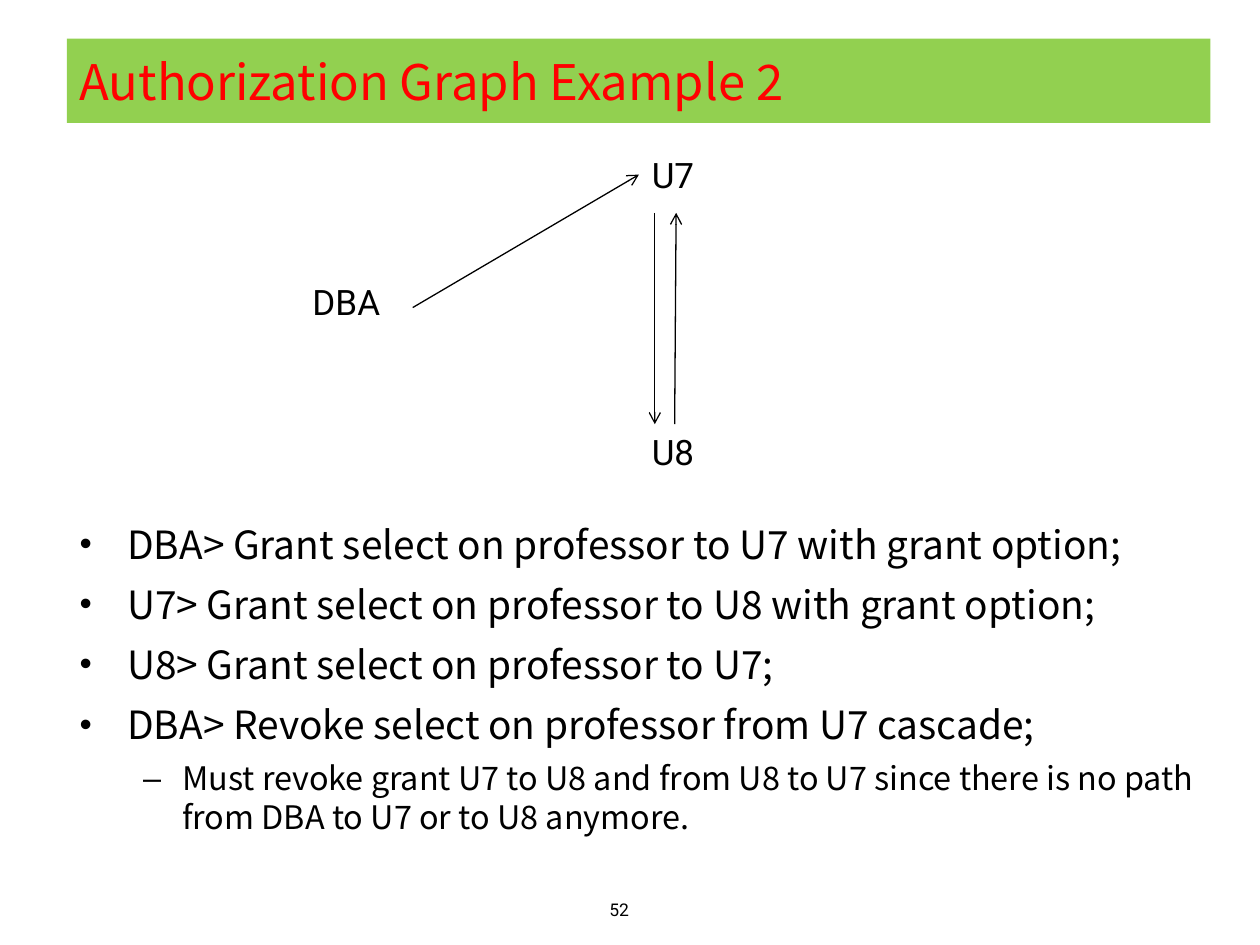
import pptx
import pptx.dml.color
import pptx.enum.shapes
import pptx.enum.text
import pptx.oxml.ns
import pptx.util
from lxml import etree

Cm = pptx.util.Cm
Pt = pptx.util.Pt
ALIGN = pptx.enum.text.PP_ALIGN
ANCHOR = pptx.enum.text.MSO_ANCHOR
AUTOSIZE = pptx.enum.text.MSO_AUTO_SIZE

COLORS = {"banner": "92D050", "heading": "FF0000", "ink": "000000"}
HEADING_FONT = "Noto Sans CJK KR"
LABEL_FONT = "Roboto"

STATEMENTS = [
    "DBA> Grant select on professor to U7 with grant option;",
    "U7> Grant select on professor to U8 with grant option;",
    "U8> Grant select on professor to U7;",
    "DBA> Revoke select on professor from U7 cascade;",
]
CONSEQUENCE = (
    "Must revoke grant U7 to U8 and from U8 to U7 since there is no path "
    "from DBA to U7 or to U8 anymore."
)
LEVELS = [
    {"size": 22.2, "before": 7.7, "indent": 0.96, "hang": 0.96,
     "bullet": "•", "bullet_size": 90},
    {"size": 18.5, "before": 6.5, "indent": 2.07, "hang": 0.79,
     "bullet": "–", "bullet_size": 100},
]
USERS = [
    ("DBA", (6.05, 5.54, 2.26, 1.32)),
    ("U7", (12.89, 2.97, 1.42, 1.12)),
    ("U8", (12.89, 8.56, 1.42, 1.12)),
]
GRANTS = [
    ((8.32, 6.2), (12.88, 3.52)),
    ((13.2, 4.29), (13.2, 8.55)),
    ((13.6, 8.55), (13.63, 4.29)),
]


def rgb(name):
    return pptx.dml.color.RGBColor.from_string(COLORS[name])


def apply_format(target, values):
    for attribute, value in values.items():
        setattr(target, attribute, value)


def place(element, bounds):
    names = ("left", "top", "width", "height")
    apply_format(element, dict(zip(names, map(Cm, bounds))))


def write(paragraph, words, size, font, color="ink"):
    run = paragraph.add_run()
    run.text = words
    apply_format(run.font, {"size": Pt(size), "name": font})
    run.font.color.rgb = rgb(color)
    east_asian = etree.SubElement(run.font._element, pptx.oxml.ns.qn("a:ea"))
    east_asian.set("typeface", font)


def add_heading(slide, words):
    heading = slide.shapes.title
    place(heading, (1.35, 0.78, 23.05, 1.7))
    heading.fill.solid()
    heading.fill.fore_color.rgb = rgb("banner")
    apply_format(heading.text_frame, {
        "word_wrap": True, "auto_size": AUTOSIZE.NONE,
        "vertical_anchor": ANCHOR.MIDDLE,
    })
    paragraph = heading.text_frame.paragraphs[0]
    paragraph.alignment = ALIGN.LEFT
    write(paragraph, words, 28, HEADING_FONT, "heading")


def set_bullet(paragraph, level):
    qn = pptx.oxml.ns.qn
    properties = paragraph._p.get_or_add_pPr()
    properties.set("marL", str(Cm(level["indent"])))
    properties.set("indent", str(-Cm(level["hang"])))
    color = etree.SubElement(properties, qn("a:buClr"))
    etree.SubElement(color, qn("a:srgbClr")).set("val", COLORS["ink"])
    size = etree.SubElement(properties, qn("a:buSzPct"))
    size.set("val", str(level["bullet_size"] * 1000))
    etree.SubElement(properties, qn("a:buChar")).set("char", level["bullet"])


def add_statements(slide, items):
    body = slide.placeholders[1]
    place(body, (1.35, 10.36, 23.06, 6.38))
    frame = body.text_frame
    apply_format(frame, {
        "word_wrap": True, "auto_size": AUTOSIZE.NONE,
        "vertical_anchor": ANCHOR.TOP,
    })
    for index, (words, depth) in enumerate(items):
        paragraph = frame.add_paragraph() if index else frame.paragraphs[0]
        level = LEVELS[depth]
        apply_format(paragraph, {
            "level": depth, "alignment": ALIGN.LEFT,
            "line_spacing": 1.0, "space_before": Pt(level["before"]),
        })
        set_bullet(paragraph, level)
        write(paragraph, words, level["size"], HEADING_FONT)


def add_label(slide, words, bounds, size=20, alignment=ALIGN.LEFT):
    label = slide.shapes.add_textbox(*map(Cm, bounds))
    label.text_frame.word_wrap = False
    paragraph = label.text_frame.paragraphs[0]
    paragraph.alignment = alignment
    write(paragraph, words, size, LABEL_FONT)


def add_grant(slide, giver, receiver):
    grant = slide.shapes.add_connector(
        pptx.enum.shapes.MSO_CONNECTOR.STRAIGHT, *map(Cm, giver + receiver))
    grant.line.width = Pt(0.75)
    grant.line.color.rgb = rgb("ink")
    qn = pptx.oxml.ns.qn
    etree.SubElement(grant.line._get_or_add_ln(), qn("a:tailEnd")).set("type", "arrow")
    etree.SubElement(grant._element.spPr, qn("a:effectLst"))


def main():
    deck = pptx.Presentation()
    apply_format(deck, {"slide_width": Cm(25.4), "slide_height": Cm(19.05)})
    slide = deck.slides.add_slide(deck.slide_layouts[1])
    add_heading(slide, "Authorization Graph Example 2")
    add_statements(slide, [(words, 0) for words in STATEMENTS] + [(CONSEQUENCE, 1)])
    for user, bounds in USERS:
        add_label(slide, user, bounds)
    for giver, receiver in GRANTS:
        add_grant(slide, giver, receiver)
    add_label(slide, "52", (12.01, 18, 0.94, 0.69), 10, ALIGN.CENTER)
    deck.save("out.pptx")


if __name__ == "__main__":
    main()
